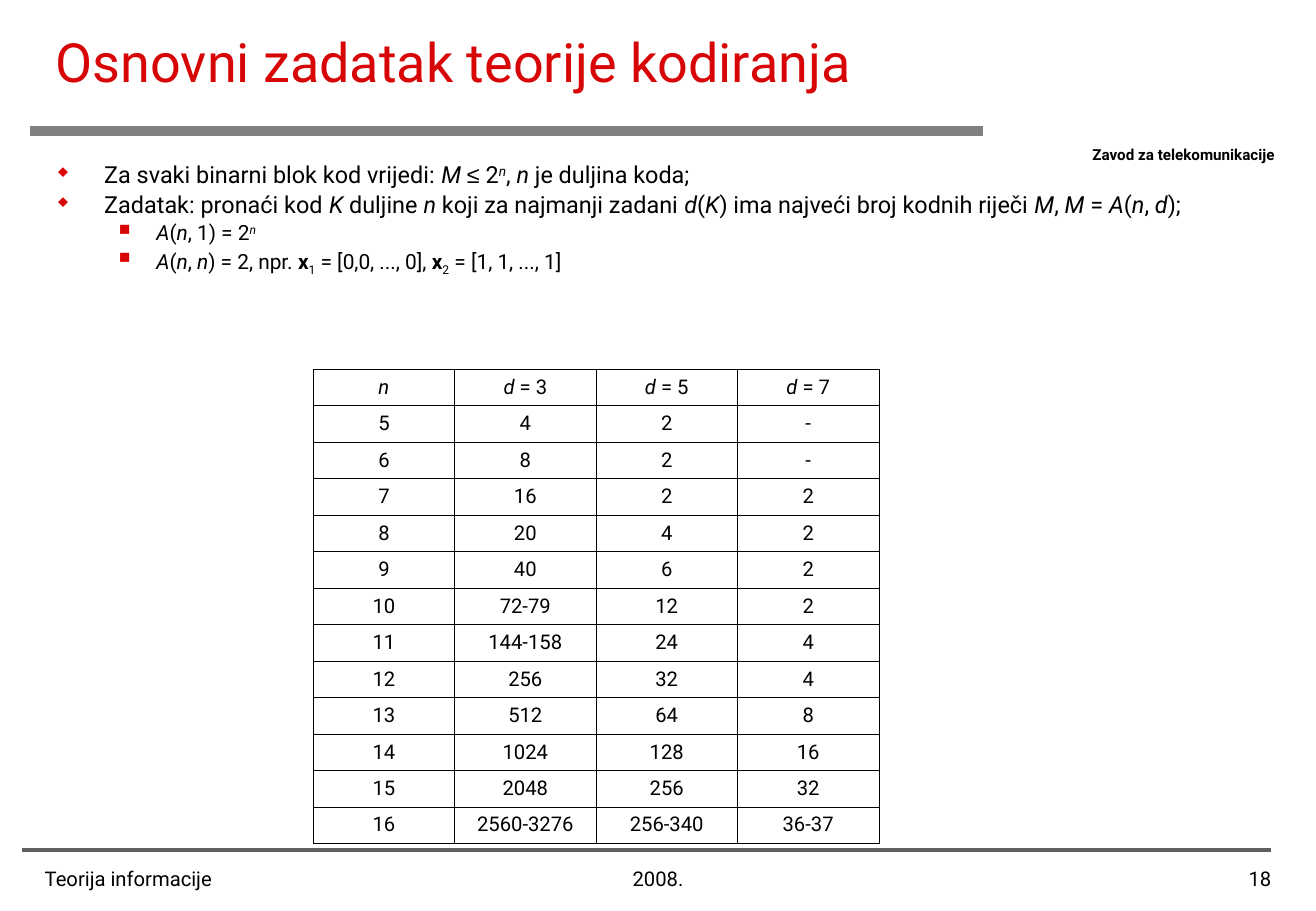
from lxml import etree
from pptx import Presentation
from pptx.dml.color import RGBColor
from pptx.enum.shapes import MSO_CONNECTOR
from pptx.enum.text import MSO_ANCHOR, MSO_AUTO_SIZE, PP_ALIGN
from pptx.oxml.ns import qn
from pptx.util import Inches, Pt

LEFT, CENTER, RIGHT = PP_ALIGN.LEFT, PP_ALIGN.CENTER, PP_ALIGN.RIGHT
MIDDLE = MSO_ANCHOR.MIDDLE
FIXED = MSO_AUTO_SIZE.NONE
STRAIGHT = MSO_CONNECTOR.STRAIGHT

RED = RGBColor(0xD7, 0x05, 0x05)
BLACK = RGBColor(0, 0, 0)
GRAY = RGBColor(0x80, 0x80, 0x80)
DARK = RGBColor(0x5F, 0x5F, 0x5F)

MARKS = "*^!~@"
POINTS = [
    (0, "Za svaki binarni blok kod vrijedi: |*M |@≤| 2|^n|, |*n| je duljina koda;"),
    (0, "Zadatak: pronaći kod |*K| duljine |*n| koji za najmanji zadani |*d|(|*K"
        "|) ima najveći broj kodnih riječi |*M|, |*M| = |*A|(|*n|, |*d|);"),
    (1, "*A|(|*n|, 1) = 2|^n"),
    (1, "*A|(|*n|, |*n|) = 2, npr. |!x|~1| = [0,0, ..., 0], |!x|~2| = [1, 1, ..., 1]"),
]
LEVELS = [("♦", 13.9, 4.5, 0.38, 0.38), ("■", 12.4, 4, 0.81, 0.31)]
CODES = [
    ("*n", "*d| = 3", "*d| = 5", "*d| = 7"),
    ("5", "4", "2", "-"),
    ("6", "8", "2", "-"),
    ("7", "16", "2", "2"),
    ("8", "20", "4", "2"),
    ("9", "40", "6", "2"),
    ("10", "72-79", "12", "2"),
    ("11", "144-158", "24", "4"),
    ("12", "256", "32", "4"),
    ("13", "512", "64", "8"),
    ("14", "1024", "128", "16"),
    ("15", "2048", "256", "32"),
    ("16", "2560-3276", "256-340", "36-37"),
]


class Deck:
    font = "Roboto"

    def __init__(self, wide, high):
        self.prs = Presentation()
        self.prs.slide_width, self.prs.slide_height = Inches(wide), Inches(high)
        self.slide = self.prs.slides.add_slide(self.prs.slide_layouts[5])
        self.shapes = self.slide.shapes

    def spot(self, *shares):
        sides = (self.prs.slide_width, self.prs.slide_height) * 2
        return [round(side * share / 100) for side, share in zip(sides, shares)]

    def style(self, para, text, size, color=BLACK, bold=False):
        for part in text.split("|"):
            mark = part[0] if part[0] in MARKS else ""
            run = para.add_run()
            run.text = part[len(mark):]
            font = run.font
            font.name = "Arial" if mark == "@" else self.font
            font.size = Pt(size)
            font.color.rgb = color
            font.bold = bold or mark == "!"
            font.italic = mark in ("*", "^")
            if mark in ("^", "~"):
                run._r.get_or_add_rPr().set("baseline", "30000" if mark == "^" else "-25000")

    def title(self, text, *shares):
        shape = self.shapes.title
        shape.left, shape.top, shape.width, shape.height = self.spot(*shares)
        frame = shape.text_frame
        frame.auto_size = FIXED
        frame.vertical_anchor = MIDDLE
        para = frame.paragraphs[0]
        para.alignment = LEFT
        self.style(para, text, 32, RED)

    def frame(self, *shares):
        frame = self.shapes.add_textbox(*self.spot(*shares)).text_frame
        frame.word_wrap = True
        return frame

    def label(self, text, *shares, size=12, align=LEFT, bold=False):
        para = self.frame(*shares).paragraphs[0]
        para.alignment = align
        self.style(para, text, size, bold=bold)

    def rule(self, start, end, level, color, width):
        line = self.shapes.add_connector(STRAIGHT, *self.spot(start, level, end, level))
        line.line.color.rgb = color
        line.line.width = Pt(width)
        etree.SubElement(line._element.spPr, qn("a:effectLst"))

    def bullet(self, para, sign, left, hang):
        props = para._p.get_or_add_pPr()
        props.set("marL", str(Inches(left)))
        props.set("indent", str(-Inches(hang)))
        tint = etree.SubElement(props, qn("a:buClr"))
        etree.SubElement(tint, qn("a:srgbClr"), val=str(RED))
        etree.SubElement(props, qn("a:buSzPct"), val="75000")
        etree.SubElement(props, qn("a:buChar"), char=sign)

    def points(self, items, *shares):
        frame = self.frame(*shares)
        for index, (level, text) in enumerate(items):
            para = frame.add_paragraph() if index else frame.paragraphs[0]
            sign, size, gap, left, hang = LEVELS[level]
            para.level = level
            para.line_spacing = 0.8
            if index:
                para.space_before = Pt(gap)
            self.bullet(para, sign, left, hang)
            self.style(para, text, size)

    def border(self, cell):
        props = cell._tc.get_or_add_tcPr()
        for side in ("lnL", "lnR", "lnT", "lnB"):
            edge = etree.SubElement(props, qn("a:" + side), w=str(Pt(0.45)))
            fill = etree.SubElement(edge, qn("a:solidFill"))
            etree.SubElement(fill, qn("a:srgbClr"), val=str(BLACK))

    def table(self, rows, *shares):
        spot = self.spot(*shares)
        table = self.shapes.add_table(len(rows), len(rows[0]), *spot).table
        table.first_row = table.horz_banding = False
        for cell, text in zip(table.iter_cells(), sum(rows, ())):
            self.border(cell)
            cell.fill.background()
            para = cell.text_frame.paragraphs[0]
            para.alignment = CENTER
            self.style(para, text, 12)


def main():
    deck = Deck(10.84, 7.5)
    deck.rule(74.72, 2.31, 14.4, GRAY, 6)
    deck.label("Zavod za telekomunikacije", 82.1, 15.33, 17.8, 3.33, size=9, bold=True)
    deck.rule(96.59, 1.66, 93.33, DARK, 2.25)
    deck.table(CODES, 23.8, 40.53, 42.99, 51.73)
    deck.title("Osnovni zadatak teorije kodiranja", 3.32, 0, 65.87, 13.33)
    deck.points(POINTS, 3.51, 17.47, 91.51, 17.87)
    foot = [
        ("Teorija informacije", 2.49, 31.64, LEFT),
        ("18", 76.66, 20.85, RIGHT),
        ("2008.", 39.58, 20.85, CENTER),
    ]
    for text, left, width, align in foot:
        deck.label(text, left, 94.4, width, 5.6, align=align)
    deck.prs.save("out.pptx")


if __name__ == "__main__":
    main()
